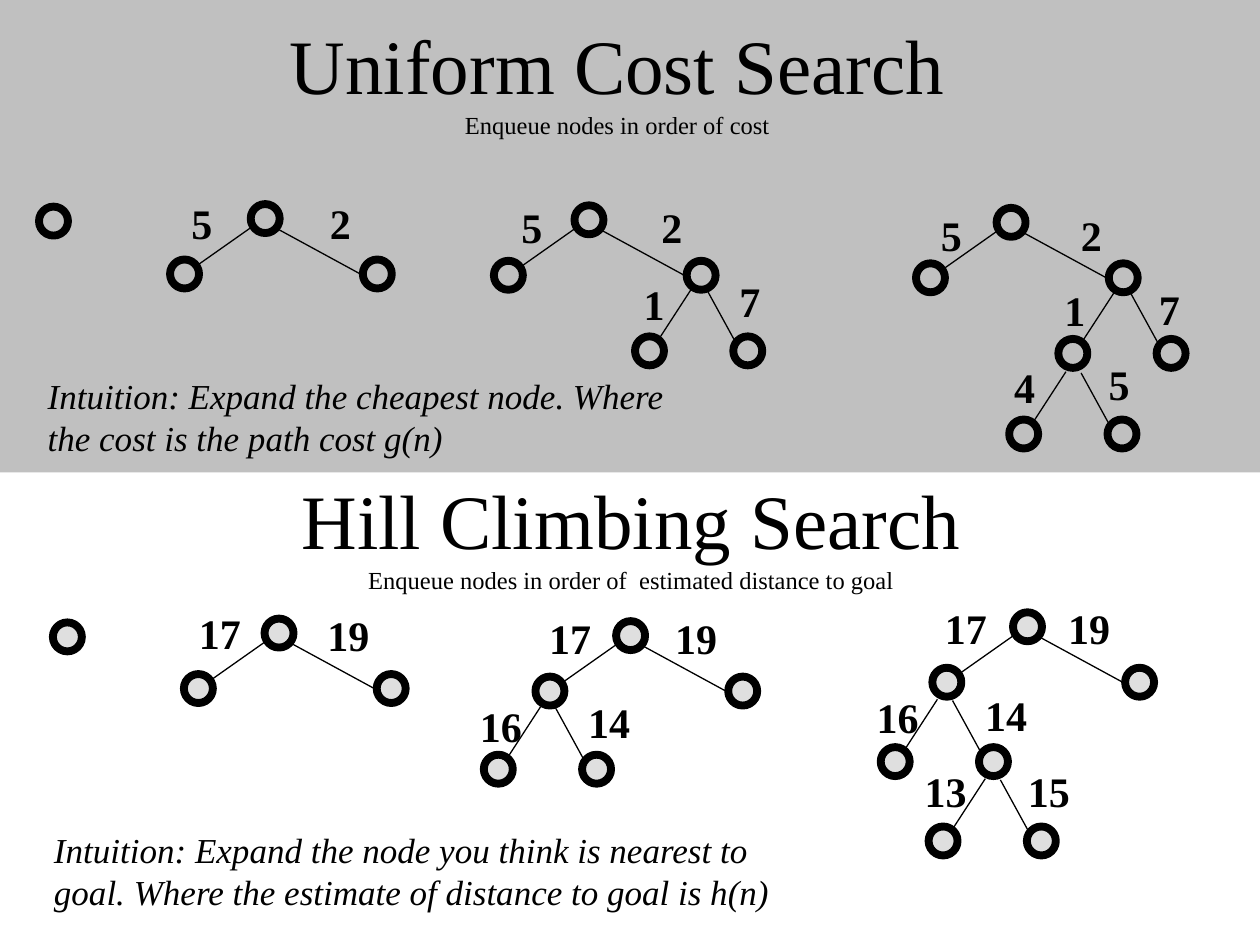
"""Build a slide that compares uniform cost search with hill climbing search."""
from lxml.etree import SubElement
from pptx import Presentation
from pptx.dml.color import RGBColor
from pptx.enum.shapes import MSO_CONNECTOR, MSO_SHAPE
from pptx.enum.text import MSO_ANCHOR, MSO_AUTO_SIZE, PP_ALIGN
from pptx.oxml.ns import qn
from pptx.util import Pt

PX = 9144
FONT = "Times New Roman"
COLORS = {"ink": "000000", "gray": "C0C0C0"}
INK = RGBColor.from_string(COLORS["ink"])
GRAY = RGBColor.from_string(COLORS["gray"])

deck = Presentation()
deck.slide_width, deck.slide_height = 1000 * PX, 750 * PX
slide = deck.slides.add_slide(deck.slide_layouts[5])
shapes = slide.shapes


def write(par, text, size, bold=False, italic=False):
    run = par.add_run()
    run.text = text
    font = run.font
    font.name, font.size, font.bold, font.italic = FONT, Pt(size), bold, italic
    font.color.rgb = INK


def ring(x, y):
    node = shapes.add_shape(MSO_SHAPE.OVAL, x * PX, y * PX, 23 * PX, 23 * PX)
    node.shadow.inherit = False
    node.fill.solid()
    node.fill.fore_color.rgb = GRAY
    tint = node.fill._xPr.find(qn("a:solidFill"))[0]
    SubElement(tint, qn("a:alpha")).set("val", "50000")
    node.line.color.rgb = INK
    node.line.width = Pt(4.5)


band = shapes.add_shape(MSO_SHAPE.RECTANGLE, 0, 0, 1000 * PX, 375 * PX)
band.shadow.inherit = False
band.fill.solid()
band.fill.fore_color.rgb = GRAY
band.line.fill.background()
band._element.addnext(shapes.title._element)

heads = [
    (shapes.title, 65, 0, "Uniform Cost Search", "Enqueue nodes in order of cost"),
    (shapes.add_textbox(0, 0, PX, PX), 76, 361, "Hill Climbing Search",
     "Enqueue nodes in order of  estimated distance to goal"),
]
for box, x, y, name, rule in heads:
    box.left, box.top, box.width, box.height = x * PX, y * PX, 850 * PX, 125 * PX
    frame = box.text_frame
    frame.word_wrap = True
    frame.auto_size = MSO_AUTO_SIZE.NONE
    frame.vertical_anchor = MSO_ANCHOR.MIDDLE
    par = frame.paragraphs[0]
    par.alignment = PP_ALIGN.CENTER
    write(par, name, 44)
    par.add_line_break()
    write(par, rule, 14)

notes = [
    (28, 292, 531, 77,
     "Intuition: Expand the cheapest node. Where the cost is the path cost g(n)"),
    (33, 653, 589, 110,
     "Intuition: Expand the node you think is nearest to goal. "
     "Where the estimate of distance to goal is h(n)"),
]
for x, y, w, h, text in notes:
    frame = shapes.add_textbox(x * PX, y * PX, w * PX, h * PX).text_frame
    frame.word_wrap = True
    write(frame.paragraphs[0], text, 20, italic=True)

for x, y in [(31, 164), (42, 494)]:
    ring(x, y)

WIDE = 44
forks = [
    (199, 162, WIDE, [("5", 142, 152), ("2", 252, 152)]),
    (456, 163, WIDE, [("5", 404, 155), ("2", 515, 155)]),
    (544, 207, 60, [("1", 501, 216), ("7", 577, 214)]),
    (791, 165, WIDE, [("5", 737, 161), ("2", 848, 161)]),
    (880, 209, 60, [("1", 835, 221), ("7", 910, 220)]),
    (841, 269, 64, [("4", 795, 282), ("5", 870, 280)]),
    (210, 491, WIDE, [("17", 148, 477), ("19", 250, 479)]),
    (489, 493, WIDE, [("17", 426, 481), ("19", 526, 481)]),
    (424, 537, 62, [("16", 371, 551), ("14", 457, 548)]),
    (804, 486, WIDE, [("17", 740, 473), ("19", 838, 473)]),
    (739, 530, 63, [("16", 686, 544), ("14", 772, 542)]),
    (777, 593, 63, [("13", 724, 603), ("15", 806, 603)]),
]
for x, y, drop, costs in forks:
    if drop == WIDE:
        ring(x, y)
        kids = (-64, 89)
        edges = [(1, 18, -43, 49), (20, 19, 88, 56)]
    else:
        kids = (-40, 38)
        edges = [(5, drop - 38, -21, drop + 2), (17, drop - 37, 40, drop + 5)]
    for kid in kids:
        ring(x + kid, y + drop)
    for ax, ay, bx, by in edges:
        edge = shapes.add_connector(
            MSO_CONNECTOR.STRAIGHT,
            (x + ax) * PX, (y + ay) * PX, (x + bx) * PX, (y + by) * PX)
        edge.line.color.rgb = INK
        edge.line.width = Pt(0.75)
        SubElement(edge._element.spPr, qn("a:effectLst"))
    for cost, cx, cy in costs:
        wide = 19 + 17 * len(cost)
        tag = shapes.add_textbox(cx * PX, cy * PX, wide * PX, 50 * PX)
        tag.text_frame.word_wrap = False
        write(tag.text_frame.paragraphs[0], cost, 24, bold=True)

deck.save("out.pptx")
